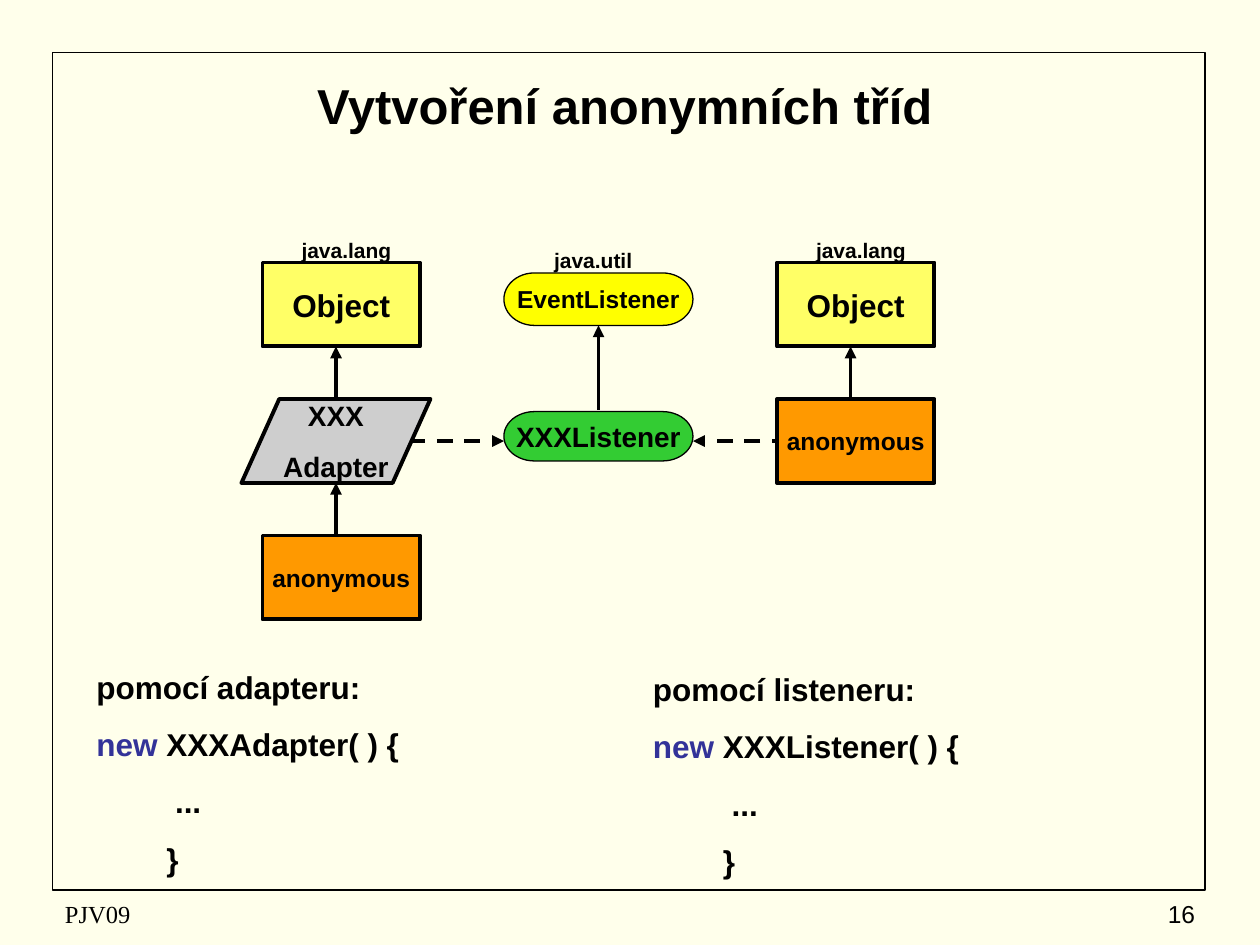
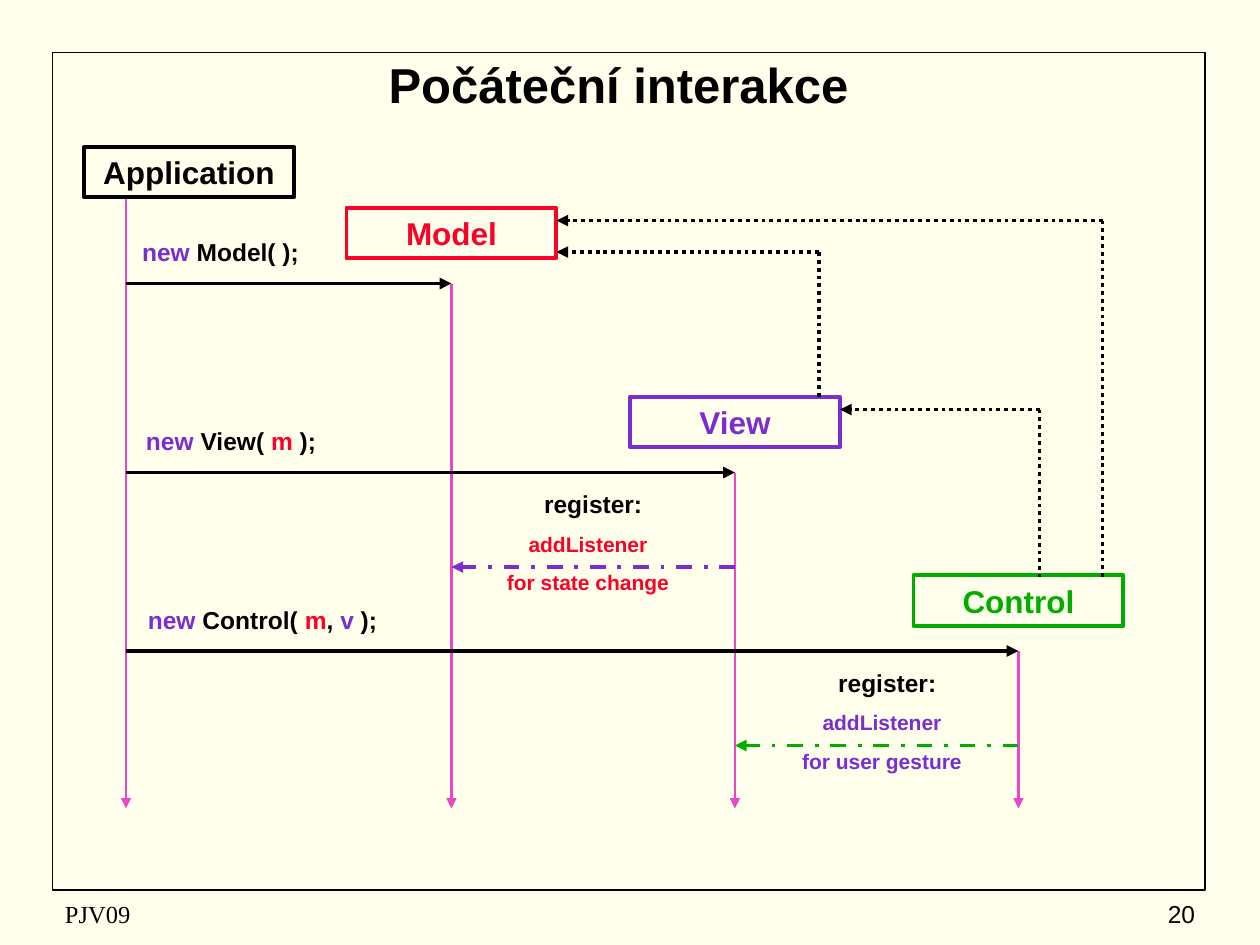
"""Builds two slides on Java listeners: anonymous classes and the first MVC interaction."""
from lxml.etree import SubElement
from pptx import Presentation
from pptx.dml.color import RGBColor
from pptx.enum.dml import MSO_LINE_DASH_STYLE as Dash
from pptx.enum.shapes import MSO_CONNECTOR, MSO_SHAPE as Kind
from pptx.enum.text import MSO_ANCHOR as Anchor, PP_ALIGN as Align
from pptx.oxml.ns import qn
from pptx.util import Inches, Pt

rgb = RGBColor.from_string
CELL = Inches(1) / 12
BLACK, CREAM, NAVY = "000000", "FFFFEB", "333399"
RED, PURPLE, GREEN, PINK = "FC0128", "7B2ED0", "00AE00", "EC46C8"
YELLOW, BRIGHT, ORANGE, GREY, LIME = "FFFF66", "FFFF00", "FF9900", "CECECE", "33CC33"


def write(slide, box, text, kind=None, fill=None, line=BLACK, weight=2.25, size=18,
          color=BLACK, font="Arial", bold=True, align=Align.CENTER, anchor=Anchor.MIDDLE, gap=0):
    area = [round(n * CELL) for n in box]
    if kind is None:
        shape = slide.shapes.add_textbox(*area)
    else:
        shape = slide.shapes.add_shape(kind, *area)
        shape.shadow.inherit = False
        shape.line.color.rgb = rgb(line)
        shape.line.width = Pt(weight)
        if fill:
            shape.fill.solid()
            shape.fill.fore_color.rgb = rgb(fill)
        else:
            shape.fill.background()
    frame = shape.text_frame
    frame.word_wrap = kind is None
    frame.vertical_anchor = anchor
    rows = text.split("\n") if isinstance(text, str) else text
    for i, row in enumerate(rows):
        paragraph = frame.add_paragraph() if i else frame.paragraphs[0]
        paragraph.alignment = align
        if i:
            paragraph.space_before = Pt(gap)
        for words, tint in [(row, color)] if isinstance(row, str) else row:
            run = paragraph.add_run()
            run.text = words
            run.font.name, run.font.size, run.font.bold = font, Pt(size), bold
            run.font.color.rgb = rgb(tint)


def draw_line(slide, start, end, color=BLACK, weight=2.25, dash=None, arrow=True):
    ends = [round(n * CELL) for n in (*start, *end)]
    link = slide.shapes.add_connector(MSO_CONNECTOR.STRAIGHT, *ends)
    link.line.color.rgb = rgb(color)
    link.line.width = Pt(weight)
    if dash:
        link.line.dash_style = dash
    properties = link._element.spPr
    if arrow:
        SubElement(properties.find(qn("a:ln")), qn("a:tailEnd"), type="triangle")
    SubElement(properties, qn("a:effectLst"))


prs = Presentation()
prs.slide_width, prs.slide_height = round(120 * CELL), round(90 * CELL)
prs.slide_master.background.fill.solid()
prs.slide_master.background.fill.fore_color.rgb = rgb(CREAM)

for title, number, left, top in [("Vytvoření anonymních tříd", "16", 6, 6),
                                 ("Počáteční interakce", "20", 5.4, 4)]:
    slide = prs.slides.add_slide(prs.slide_layouts[6])
    write(slide, (5, 5, 109.8, 79.8), "", kind=Kind.RECTANGLE, weight=1)
    write(slide, (5, 85, 38, 4), "PJV09", size=14, font="Times New Roman", bold=False,
          align=Align.LEFT)
    write(slide, (90, 85, 25, 4), number, size=14, bold=False, align=Align.RIGHT)
    write(slide, (left, top, 107, 8), title, size=28)
classes, interaction = prs.slides

for start, end in [((32, 38), (32, 33)), ((32, 51), (32, 46)),
                   ((81, 38), (81, 33)), ((57, 39), (57, 31))]:
    draw_line(classes, start, end)
for start, end in [(39, 48), (75, 66)]:
    draw_line(classes, (start, 42), (end, 42), dash=Dash.DASH)

for column in (25, 74):
    write(classes, (column, 25, 15, 8), "Object", kind=Kind.RECTANGLE, fill=YELLOW)
    write(classes, (column + 2, 22, 12, 3.6), "java.lang", size=12, anchor=Anchor.TOP)
for column, row in [(25, 51), (74, 38)]:
    write(classes, (column, row, 15, 8), "anonymous", kind=Kind.RECTANGLE, fill=ORANGE, size=14)
write(classes, (23, 38, 18, 8), "XXX\nAdapter", kind=Kind.FLOWCHART_DATA, fill=GREY,
      size=16, gap=10)
write(classes, (48, 26, 18, 5), "EventListener", kind=Kind.FLOWCHART_TERMINATOR, fill=BRIGHT,
      weight=0.75, size=14)
write(classes, (48, 39.2, 18, 4.7), "XXXListener", kind=Kind.FLOWCHART_TERMINATOR, fill=LIME,
      weight=0.75, size=16)
write(classes, (51, 23, 11, 3.6), "java.util", size=12, anchor=Anchor.TOP)

for column, row, heading, parent in [(8, 63, "pomocí adapteru:", "XXXAdapter"),
                                     (61, 63.2, "pomocí listeneru:", "XXXListener")]:
    code = [heading, [("new", NAVY), (f" {parent}( ) {{", BLACK)], "         ...", "        }"]
    write(classes, (column, row, 44, 21), code, align=Align.LEFT, anchor=Anchor.TOP, gap=11.2)

APP_LIFE, LIFE_END = 12, 77
write(interaction, (8, 14, 20, 4.8), "Application", kind=Kind.RECTANGLE)
draw_line(interaction, (APP_LIFE, 19), (APP_LIFE, LIFE_END), color=PINK, weight=1.5)

roles = [
    ("Model", RED, 43, 27, 7, [(" Model( );", BLACK)]),
    ("View", PURPLE, 70, 45, 8, [(" View( ", BLACK), ("m", RED), (" );", BLACK)]),
    ("Control", GREEN, 97, 62, 11, [(" Control( ", BLACK), ("m", RED), (", ", BLACK),
                                    ("v", PURPLE), (" );", BLACK)]),
]
for name, color, life, row, call_left, call in roles:
    write(interaction, (life - 10, row - 7.2, 20, 4.8), name, kind=Kind.RECTANGLE,
          line=color, color=color)
    draw_line(interaction, (life, row), (life, LIFE_END), color=PINK, weight=1.5)
    write(interaction, (call_left, row - 5, 28, 4), [[("new", PURPLE), *call]], size=14,
          anchor=Anchor.TOP)
for _, _, life, row, _, _ in roles:
    draw_line(interaction, (APP_LIFE, row), (life, row))

registrations = [(50, 33, "for state change"), (78, 61, "for user gesture")]
for watched, watcher, (label_left, event_left, event) in zip(roles, roles[1:], registrations):
    _, watched_color, watched_life, *_ = watched
    _, watcher_color, watcher_life, row, *_ = watcher
    draw_line(interaction, (watcher_life, row + 9), (watched_life, row + 9),
              color=watcher_color, dash=Dash.DASH_DOT)
    write(interaction, (label_left, row + 1, 13, 4), "register:", size=14, anchor=Anchor.TOP)
    write(interaction, (event_left, row + 5, 46, 7.3), f"addListener\n{event}", size=12,
          color=watched_color, anchor=Anchor.TOP, gap=7.5)

for column, bottom, row, target in [(78, 38, 24, 53), (99, 55, 39, 80), (105, 55, 21, 53)]:
    draw_line(interaction, (column, row), (target, row), dash=Dash.ROUND_DOT)
    draw_line(interaction, (column, row), (column, bottom), dash=Dash.ROUND_DOT, arrow=False)

prs.save("out.pptx")
